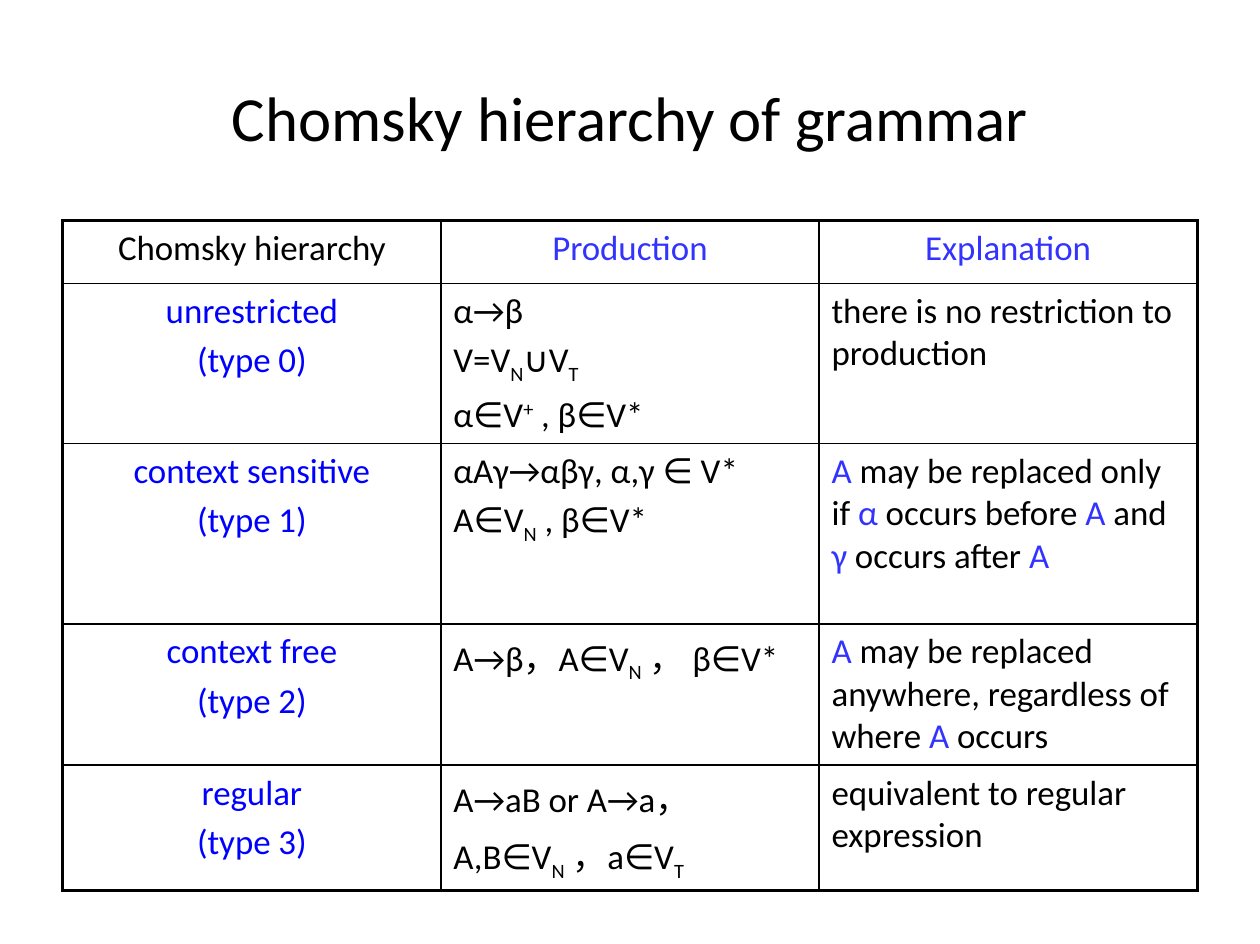
from dataclasses import dataclass
from lxml.etree import SubElement, Element
from pptx import Presentation
from pptx.dml.color import RGBColor
from pptx.enum.text import MSO_ANCHOR, PP_ALIGN
from pptx.oxml.ns import qn
from pptx.util import Inches, Pt

TITLE = "Chomsky hierarchy of grammar"

N = ("N", "sub")
T = ("T", "sub")
A = ("A", "symbol")

HEADER = [("Chomsky hierarchy", "text"), ("Production", "symbol"), ("Explanation", "symbol")]
GRAMMARS = [
    (
        ["unrestricted", "(type 0)"],
        [["α→β"], ["V=V", N, "∪V", T], ["α∈V", ("+", "super"), " , β∈V*"]],
        ["there is no restriction to production"],
    ),
    (
        ["context sensitive", "(type 1)"],
        [["αAγ→αβγ, α,γ ∈ V*"], ["A∈V", N, " , β∈V*"]],
        [A, " may be replaced only if ", ("α", "symbol"), " occurs before ", A,
         " and ", ("γ", "symbol"), " occurs after ", A],
    ),
    (
        ["context free", "(type 2)"],
        [["A→β，A∈V", N, " ， β∈V*"]],
        [A, " may be replaced anywhere, regardless of where ", A, " occurs"],
    ),
    (
        ["regular", "(type 3)"],
        [["A→aB or A→a，"], ["A,B∈V", N, " ，a∈V", T]],
        ["equivalent to regular expression"],
    ),
]

LEFT, WIDTH = 0.55, 9.93
TITLE_TOP, TITLE_HEIGHT = 0.33, 1.38
TABLE_TOP = 1.93
ROW_HEIGHTS = [0.55, 1.21, 1.58, 1.21, 1.09]
MARGIN_X, MARGIN_Y = 0.11, 0.06
BASELINES = {"sub": "-25000", "super": "30000"}


@dataclass(frozen=True)
class Theme:
    font: str = "Calibri"
    title_size: float = 39.6
    body_size: float = 22
    paragraph_gap: float = 4.4
    text: str = "000000"
    symbol: str = "3333FF"
    name: str = "0000FF"
    border: str = "000000"
    outer_line: float = 2.25
    inner_line: float = 1


THEME = Theme()


def set_font(font, size, color):
    font.name = THEME.font
    font.size = Pt(size)
    font.color.rgb = RGBColor.from_string(color)


def write_paragraph(para, spans, align):
    para.alignment = align
    for item in spans:
        content, style = (item, "text") if isinstance(item, str) else item
        span = para.add_run()
        span.text = content
        set_font(span.font, THEME.body_size, getattr(THEME, style, THEME.text))
        if style in BASELINES:
            span.font._element.set("baseline", BASELINES[style])


def fill_cell(cell, paragraphs, align):
    cell.margin_left = cell.margin_right = Inches(MARGIN_X)
    cell.margin_top = cell.margin_bottom = Inches(MARGIN_Y)
    cell.vertical_anchor = MSO_ANCHOR.TOP
    cell.fill.background()
    frame = cell.text_frame
    for index, spans in enumerate(paragraphs):
        para = frame.add_paragraph() if index else frame.paragraphs[0]
        para.space_before = Pt(THEME.paragraph_gap if index else 0)
        write_paragraph(para, spans, align)


def draw_borders(cell, outer_sides):
    properties = cell._tc.get_or_add_tcPr()
    for index, side in enumerate("LRTB"):
        width = THEME.outer_line if side in outer_sides else THEME.inner_line
        line = Element(qn(f"a:ln{side}"), w=str(Pt(width)))
        fill = SubElement(line, qn("a:solidFill"))
        SubElement(fill, qn("a:srgbClr"), val=THEME.border)
        properties.insert(index, line)


def add_title(page):
    title = page.shapes.title
    title.left, title.top = Inches(LEFT), Inches(TITLE_TOP)
    title.width, title.height = Inches(WIDTH), Inches(TITLE_HEIGHT)
    frame = title.text_frame
    frame.text = TITLE
    frame.vertical_anchor = MSO_ANCHOR.MIDDLE
    para = frame.paragraphs[0]
    para.alignment = PP_ALIGN.CENTER
    set_font(para.font, THEME.title_size, THEME.text)


def add_grammar_table(page):
    rows = [[[[label]] for label in HEADER]]
    for names, productions, explanation in GRAMMARS:
        rows.append([[[(name, "name")] for name in names], productions, [explanation]])
    last_row, last_column = len(rows) - 1, len(HEADER) - 1
    table = page.shapes.add_table(
        len(rows), len(HEADER), Inches(LEFT), Inches(TABLE_TOP),
        Inches(WIDTH), Inches(sum(ROW_HEIGHTS)),
    ).table
    table.first_row = table.horz_banding = False
    for column in table.columns:
        column.width = Inches(WIDTH / len(HEADER))
    for r, (row, height) in enumerate(zip(rows, ROW_HEIGHTS)):
        table.rows[r].height = Inches(height)
        for c, paragraphs in enumerate(row):
            cell = table.cell(r, c)
            centred = r == 0 or c == 0
            fill_cell(cell, paragraphs, PP_ALIGN.CENTER if centred else PP_ALIGN.LEFT)
            edges = {"L": c == 0, "R": c == last_column, "T": r == 0, "B": r == last_row}
            draw_borders(cell, [side for side, outer in edges.items() if outer])


def main():
    deck = Presentation()
    deck.slide_width, deck.slide_height = Inches(11.03), Inches(8.26)
    page = deck.slides.add_slide(deck.slide_layouts[5])
    add_title(page)
    add_grammar_table(page)
    deck.save("out.pptx")


if __name__ == "__main__":
    main()
